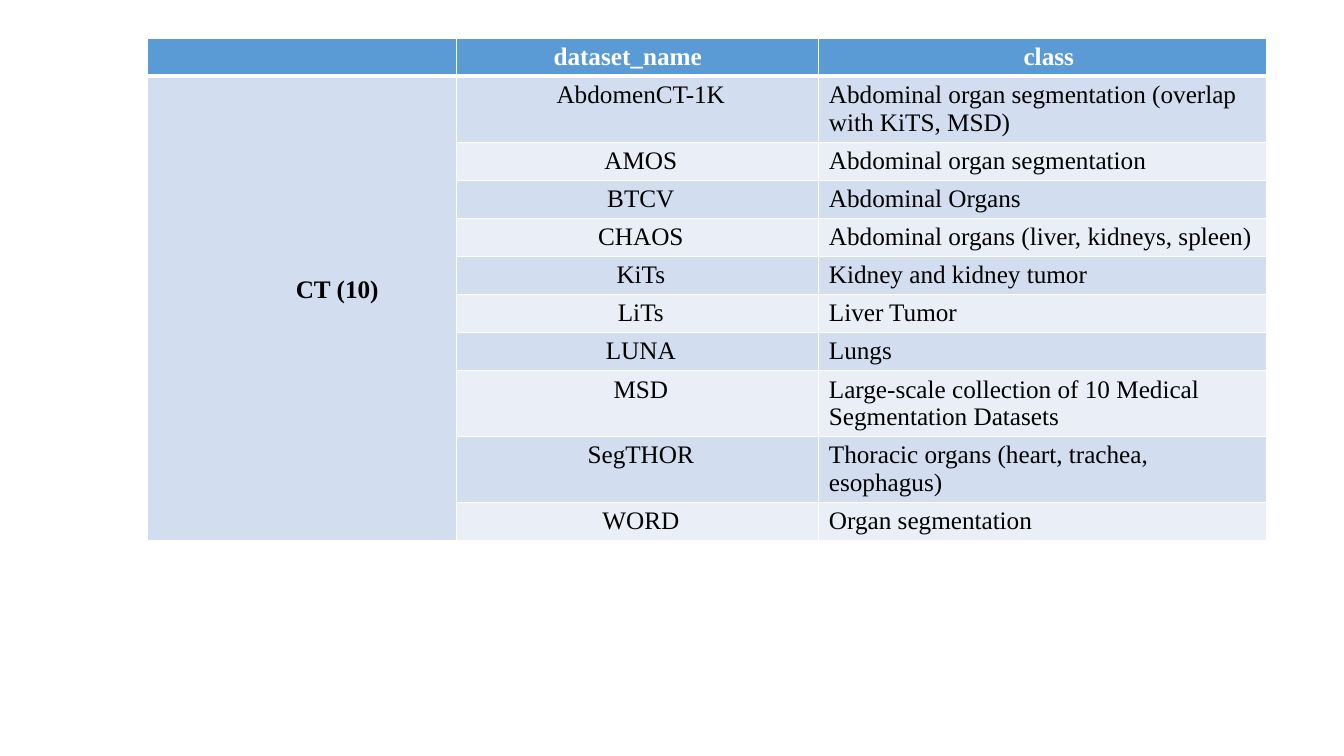
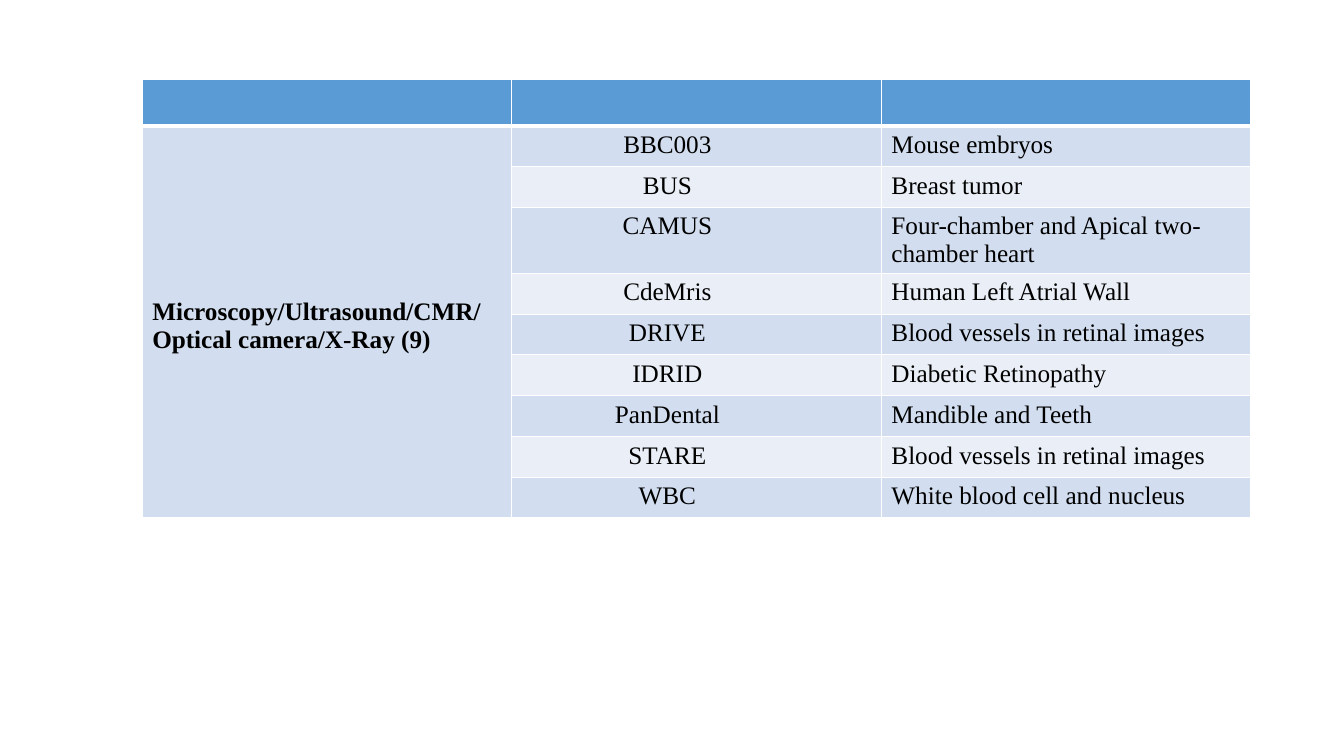
from dataclasses import dataclass

from lxml.etree import SubElement
from pptx import Presentation
from pptx.dml.color import RGBColor
from pptx.enum.text import MSO_ANCHOR as Anchor, PP_ALIGN as Align
from pptx.oxml.ns import qn
from pptx.util import Inches, Pt


@dataclass(frozen=True)
class Theme:
    font: str = "Times New Roman"
    size: int = 18
    header: str = "5B9BD5"
    bands: tuple = ("D2DEEF", "EAEFF7")
    light: str = "FFFFFF"
    dark: str = "000000"
    rule: int = 1
    header_rule: int = 3


THEME = Theme()
MARGIN_X, MARGIN_Y = 0.1, 0.05
TALL_ROW = 8.73  # percent of slide height, fits two lines of text

CT = {
    "at": (10.95, 5.07), "width": 83.3, "columns": (3.07, 3.59, 4.44),
    "header_height": 4.95, "row_height": 5.03, "tall": {1, 8, 9},
    "header": ("", "dataset_name", "class"),
    "header_shift": (0, -0.1, 0.06),
    "group": "CT (10)", "group_align": Align.CENTER, "group_shift": (0.35, -0.18),
    "name_shift": 0.03,
    "rows": (
        ("AbdomenCT-1K", "Abdominal organ segmentation (overlap with KiTS, MSD)"),
        ("AMOS", "Abdominal organ segmentation"),
        ("BTCV", "Abdominal Organs"),
        ("CHAOS", "Abdominal organs (liver, kidneys, spleen)"),
        ("KiTs", "Kidney and kidney tumor"),
        ("LiTs", "Liver Tumor"),
        ("LUNA", "Lungs"),
        ("MSD", "Large-scale collection of 10 Medical Segmentation Datasets"),
        ("SegTHOR", "Thoracic organs (heart, trachea, esophagus)"),
        ("WORD", "Organ segmentation"),
    ),
}

OTHER = {
    "at": (10.58, 10.53), "width": 82.5, "columns": (1, 1, 1),
    "header_height": 6.1, "row_height": 5.4, "tall": {3},
    "header": ("", "", ""),
    "header_shift": (0, 0, 0),
    "group": "Microscopy/Ultrasound/CMR/Optical camera/X-Ray (9)",
    "group_align": Align.LEFT, "group_shift": (0, 0.04),
    "name_shift": -0.29,
    "rows": (
        ("BBC003", "Mouse embryos"),
        ("BUS", "Breast tumor"),
        ("CAMUS", "Four-chamber and Apical two-chamber heart"),
        ("CdeMris", "Human Left Atrial Wall"),
        ("DRIVE", "Blood vessels in retinal images"),
        ("IDRID", "Diabetic Retinopathy"),
        ("PanDental", "Mandible and Teeth"),
        ("STARE", "Blood vessels in retinal images"),
        ("WBC", "White blood cell and nucleus"),
    ),
}


def set_borders(cell, bottom):
    """Draw light rules on all four sides of a cell."""
    tc_pr = cell._tc.get_or_add_tcPr()
    widths = {"lnL": THEME.rule, "lnR": THEME.rule, "lnT": THEME.rule, "lnB": bottom}
    for side, width in widths.items():
        line = SubElement(tc_pr, qn(f"a:{side}"), w=str(Pt(width)))
        fill = SubElement(line, qn("a:solidFill"))
        SubElement(fill, qn("a:srgbClr"), val=THEME.light)


def set_margins(cell, dx, dy):
    """Move centred text by dx, dy inches through uneven margins."""
    margins = {
        "margin_left": MARGIN_X + max(2 * dx, 0),
        "margin_right": MARGIN_X + max(-2 * dx, 0),
        "margin_top": MARGIN_Y + max(2 * dy, 0),
        "margin_bottom": MARGIN_Y + max(-2 * dy, 0),
    }
    for name, value in margins.items():
        setattr(cell, name, Inches(value))


def style_cell(cell, text, fill, color=THEME.dark, bold=False, align=Align.LEFT,
               shift=(0, 0), anchor=Anchor.TOP, bottom=THEME.rule):
    set_borders(cell, bottom)
    cell.fill.solid()
    cell.fill.fore_color.rgb = RGBColor.from_string(fill)
    set_margins(cell, *shift)
    cell.vertical_anchor = anchor
    p = cell.text_frame.paragraphs[0]
    p.alignment = align
    if not text:  # an empty cell keeps the line height of the table's type
        end = SubElement(p._p, qn("a:endParaRPr"), sz=str(THEME.size * 100))
        SubElement(end, qn("a:latin"), typeface=THEME.font)
        return
    r = p.add_run()
    r.text = text
    for name, value in {"name": THEME.font, "size": Pt(THEME.size), "bold": bold}.items():
        setattr(r.font, name, value)
    r.font.color.rgb = RGBColor.from_string(color)


def add_dataset_table(prs, data):
    s = prs.slides.add_slide(prs.slide_layouts[6])

    def across(share):
        return round(prs.slide_width * share / 100)

    def down(share):
        return round(prs.slide_height * share / 100)

    # Grid
    count = len(data["rows"])
    heights = [data["header_height"]] + [
        TALL_ROW if i in data["tall"] else data["row_height"]
        for i in range(1, count + 1)]
    left, top = data["at"]
    table = s.shapes.add_table(count + 1, 3, across(left), down(top),
                               across(data["width"]), down(sum(heights))).table
    for column, weight in zip(table.columns, data["columns"]):
        column.width = across(data["width"] * weight / sum(data["columns"]))
    for row, height in zip(table.rows, heights):
        row.height = down(height)

    # Header
    for col, (text, dx) in enumerate(zip(data["header"], data["header_shift"])):
        style_cell(table.cell(0, col), text, THEME.header, THEME.light, bold=True,
                   align=Align.CENTER, shift=(dx, 0), bottom=THEME.header_rule)

    # Group label and dataset rows
    table.cell(1, 0).merge(table.cell(count, 0))
    for i, (name, classes) in enumerate(data["rows"], 1):
        band = THEME.bands[(i - 1) % 2]
        first = i == 1
        style_cell(table.cell(i, 0), data["group"] if first else "", THEME.bands[0],
                   bold=True, align=data["group_align"],
                   shift=data["group_shift"] if first else (0, 0),
                   anchor=Anchor.MIDDLE)
        style_cell(table.cell(i, 1), name, band, align=Align.CENTER,
                   shift=(data["name_shift"], 0))
        style_cell(table.cell(i, 2), classes, band)


def main():
    prs = Presentation()
    prs.slide_width, prs.slide_height = Inches(13.33), Inches(7.5)
    for data in (CT, OTHER):
        add_dataset_table(prs, data)
    prs.save("out.pptx")


main()
